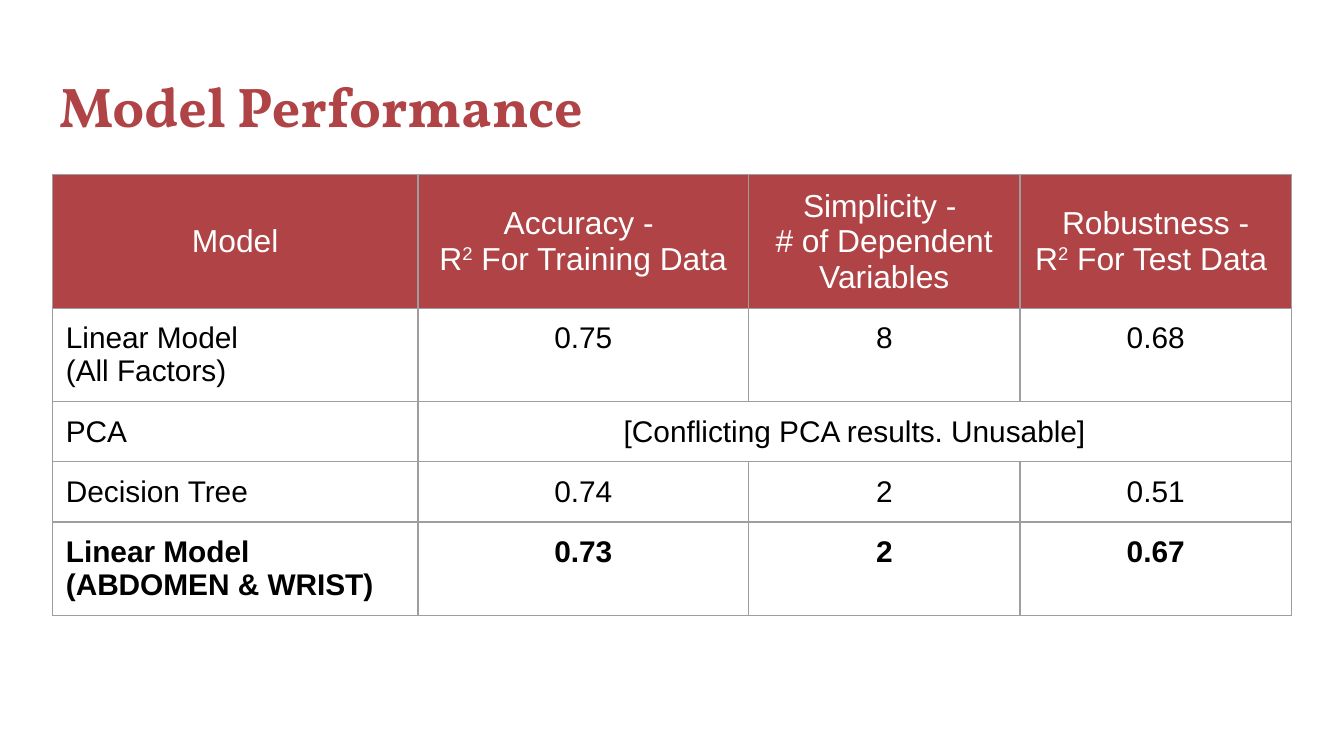
from lxml import etree
from pptx import Presentation
from pptx.dml.color import RGBColor
from pptx.enum.text import MSO_ANCHOR as Anchor, PP_ALIGN as Align
from pptx.oxml.ns import qn
from pptx.util import Inches, Pt

COLORS = {"red": "AF4345", "white": "FFFFFF", "black": "000000", "grid": "9E9E9E"}
COLUMN_WIDTHS = [2.72, 2.46, 2.02, 2.02]
ROW_HEIGHT = 0.42
HEADERS = ["Model", "Accuracy - \nR² For Training Data",
           "Simplicity - \n# of Dependent Variables",
           "Robustness -\nR² For Test Data "]
RESULTS = [
    ["Linear Model\n(All Factors)", "0.75", "8", "0.68"],
    ["PCA", "[Conflicting PCA results. Unusable]"],
    ["Decision Tree", "0.74", "2", "0.51"],
    ["Linear Model (ABDOMEN & WRIST)", "0.73", "2", "0.67"],
]


def style_font(font, name, size, color, bold=False):
    """Set the typeface, size, colour and weight of a font."""
    font.name = name
    font.size = Pt(size)
    font.bold = bold
    font.color.rgb = RGBColor.from_string(COLORS[color])


def add_title(page, text):
    """Place and format the title placeholder."""
    title = page.shapes.title
    title.left, title.top = Inches(0.34), Inches(0.43)
    title.width, title.height = Inches(9.32), Inches(0.68)
    frame = title.text_frame
    frame.text = text
    frame.vertical_anchor = Anchor.TOP
    frame.margin_left = frame.margin_right = Inches(0.1)
    frame.margin_top = frame.margin_bottom = Inches(0.1)
    para = frame.paragraphs[0]
    para.alignment = Align.LEFT
    style_font(para.font, "Vollkorn", 30, "red", True)


def add_spans(para, text):
    """Write text into a paragraph, raising each ² as a superscript 2."""
    before, square, after = text.partition("²")
    para.add_run().text = before
    if square:
        span = para.add_run()
        span.text = "2"
        span._r.get_or_add_rPr().set("baseline", "30000")
        para.add_run().text = after


def set_borders(cell):
    """Draw a thin grid line on all four sides of a cell."""
    properties = cell._tc.get_or_add_tcPr()
    for position, side in enumerate(("a:lnL", "a:lnR", "a:lnT", "a:lnB")):
        line = etree.Element(qn(side), w=str(Pt(0.75)))
        fill = etree.SubElement(line, qn("a:solidFill"))
        etree.SubElement(fill, qn("a:srgbClr"), val=COLORS["grid"])
        properties.insert(position, line)


def fill_cell(cell, text, align, size, color, bold=False, fill=None):
    """Write and format one table cell."""
    cell.margin_left = cell.margin_right = Inches(0.1)
    cell.margin_top = cell.margin_bottom = Inches(0.1)
    if fill:
        cell.fill.solid()
        cell.fill.fore_color.rgb = RGBColor.from_string(COLORS[fill])
    else:
        cell.fill.background()
    set_borders(cell)
    frame = cell.text_frame
    for index, line in enumerate(text.split("\n") if text else []):
        para = frame.add_paragraph() if index else frame.paragraphs[0]
        para.alignment = align
        style_font(para.font, "Arial", size, color, bold)
        add_spans(para, line)


def add_results_table(page):
    """Add the table that compares the models."""
    row_count, column_count = len(RESULTS) + 1, len(HEADERS)
    table = page.shapes.add_table(
        row_count, column_count, Inches(0.39), Inches(1.3),
        Inches(sum(COLUMN_WIDTHS)), Inches(ROW_HEIGHT * row_count)).table
    for column, width in zip(table.columns, COLUMN_WIDTHS):
        column.width = Inches(width)
    for column, text in enumerate(HEADERS):
        cell = table.cell(0, column)
        cell.vertical_anchor = Anchor.MIDDLE
        fill_cell(cell, text, Align.CENTER, 17, "white", fill="red")
    for row, values in enumerate(RESULTS, 1):
        if len(values) < column_count:
            table.cell(row, len(values) - 1).merge(table.cell(row, column_count - 1))
        for column in range(column_count):
            text = values[column] if column < len(values) else ""
            align = Align.CENTER if column else Align.LEFT
            fill_cell(table.cell(row, column), text, align, 16, "black",
                      bold=row == len(RESULTS))


def main():
    """Build and save the deck."""
    deck = Presentation()
    deck.slide_width = Inches(10)
    deck.slide_height = deck.slide_width * 9 // 16
    page = deck.slides.add_slide(deck.slide_layouts[5])
    add_title(page, "Model Performance")
    add_results_table(page)
    deck.save("out.pptx")


if __name__ == "__main__":
    main()
